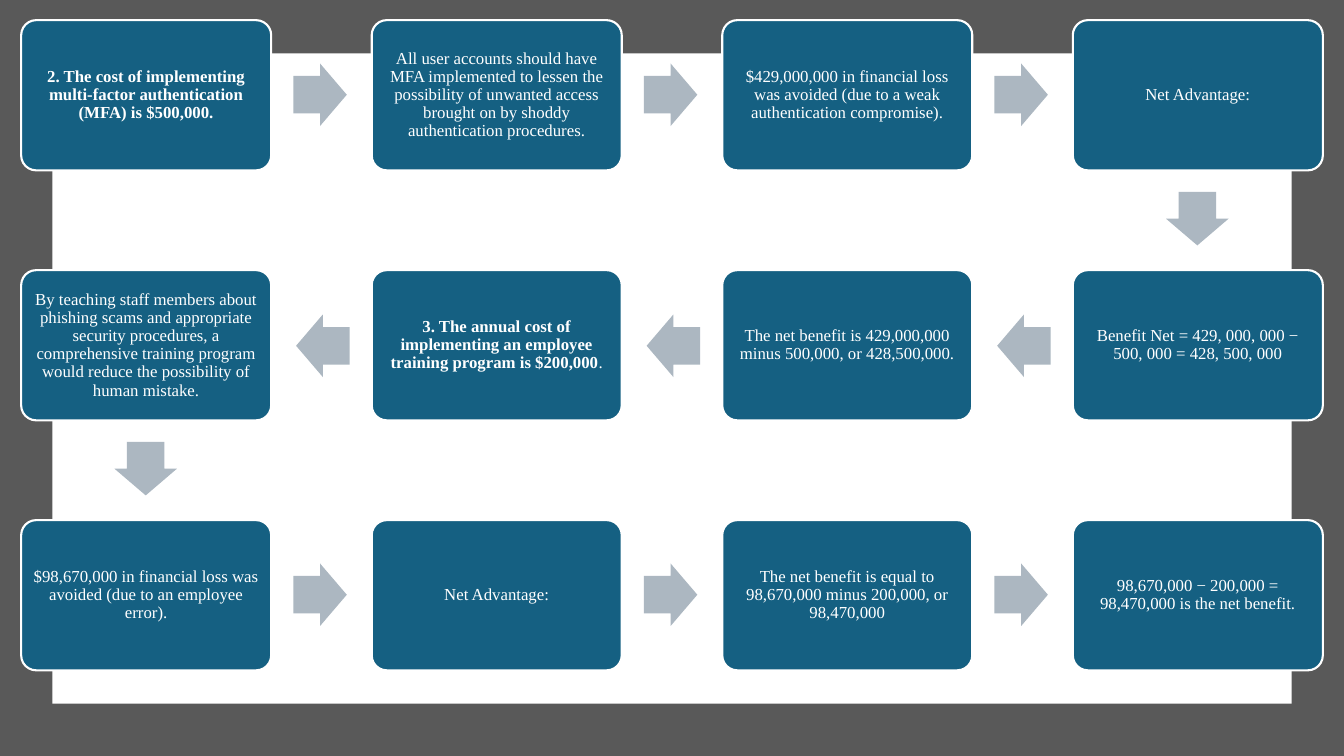
"""Build a slide with a winding flow of twelve cost and benefit steps."""
import pptx
import pptx.util
import pptx.dml.color
import pptx.enum.shapes
import pptx.enum.text

Inches = pptx.util.Inches
Pt = pptx.util.Pt
KIND = pptx.enum.shapes.MSO_SHAPE


def color(code):
    return pptx.dml.color.RGBColor.from_string(code)


def draw(shapes, kind, left, top, width, height, fill):
    shape = shapes.add_shape(kind, Inches(left), Inches(top), Inches(width), Inches(height))
    shape.shadow.inherit = False
    shape.fill.solid()
    shape.fill.fore_color.rgb = color(fill)
    shape.line.fill.background()
    return shape


steps = [
    ("2. The cost of implementing multi-factor authentication (MFA) is $500,000.", ""),
    ("", "All user accounts should have MFA implemented to lessen the possibility of "
         "unwanted access brought on by shoddy authentication procedures."),
    ("", "$429,000,000 in financial loss was avoided (due to a weak authentication compromise)."),
    ("", "Net Advantage:"),
    ("", "Benefit Net = 429, 000, 000 − 500, 000 = 428, 500, 000"),
    ("", "The net benefit is 429,000,000 minus 500,000, or 428,500,000."),
    ("3. The annual cost of implementing an employee training program is $200,000", "."),
    ("", "By teaching staff members about phishing scams and appropriate security procedures, "
         "a comprehensive training program would reduce the possibility of human mistake."),
    ("", "$98,670,000 in financial loss was avoided (due to an employee error)."),
    ("", "Net Advantage:"),
    ("", "The net benefit is equal to 98,670,000 minus 200,000, or 98,470,000"),
    ("", "98,670,000 − 200,000 = 98,470,000 is the net benefit."),
]

deck = pptx.Presentation()
deck.slide_width = Inches(13.33)
deck.slide_height = Inches(7.5)
slide = deck.slides.add_slide(deck.slide_layouts[6])

draw(slide.shapes, KIND.RECTANGLE, 0, 0, 13.33, 7.5, "595959")
draw(slide.shapes, KIND.RECTANGLE, 0.52, 0.53, 12.29, 6.45, "FFFFFF")

flow = slide.shapes.add_group_shape()
for index, (bold, plain) in enumerate(steps):
    row, place = divmod(index, 4)
    back = row % 2 == 1
    col = 3 - place if back else place
    left = 0.21 + col * 10.43 / 3
    top = 0.2 + row * 2.48

    box = draw(flow.shapes, KIND.ROUNDED_RECTANGLE, left, top, 2.48, 1.49, "156082")
    box.adjustments[0] = 0.1
    box.line.fill.solid()
    box.line.fill.fore_color.rgb = color("FFFFFF")
    box.line.width = Pt(1.5)
    frame = box.text_frame
    frame.word_wrap = True
    frame.vertical_anchor = pptx.enum.text.MSO_ANCHOR.MIDDLE
    frame.margin_left = frame.margin_right = Inches(0.05)
    frame.margin_top = frame.margin_bottom = Inches(0.05)
    para = frame.paragraphs[0]
    para.alignment = pptx.enum.text.PP_ALIGN.CENTER
    para.line_spacing = 0.9
    para.font.name = "Times New Roman"
    para.font.size = Pt(12)
    para.font.color.rgb = color("FFFFFF")
    for text, heavy in ((bold, True), (plain, False)):
        if text:
            run = para.add_run()
            run.text = text
            run.font.bold = heavy

    if index == len(steps) - 1:
        break
    if place == 3:
        shift, drop, turn = 0.97, 1.66, 90
    elif back:
        shift, drop, turn = -0.75, 0.44, 180
    else:
        shift, drop, turn = 2.7, 0.43, 0
    arrow = draw(flow.shapes, KIND.RIGHT_ARROW, left + shift, top + drop, 0.53, 0.62, "ACB7C1")
    arrow.adjustments[0] = 0.6
    arrow.adjustments[1] = 0.5
    arrow.rotation = turn

deck.save("out.pptx")
